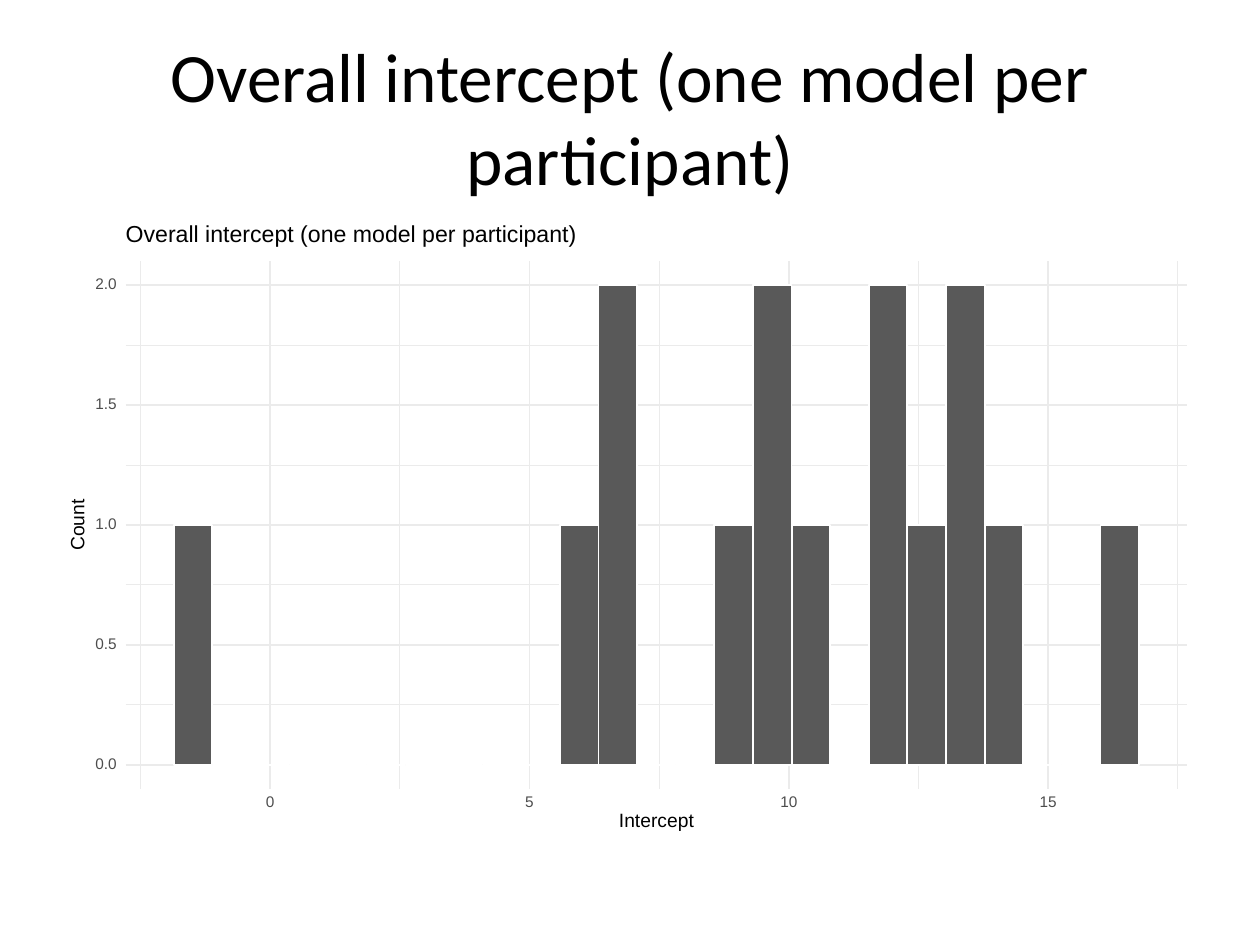
from dataclasses import dataclass

from lxml.etree import SubElement
from pptx import Presentation
from pptx.dml.color import RGBColor
from pptx.enum.shapes import MSO_CONNECTOR, MSO_SHAPE
from pptx.enum.text import MSO_ANCHOR, PP_ALIGN
from pptx.oxml.ns import qn
from pptx.util import Pt


@dataclass(frozen=True)
class Theme:
    black = RGBColor(0x00, 0x00, 0x00)
    white = RGBColor(0xFF, 0xFF, 0xFF)
    tick_grey = RGBColor(0x4D, 0x4D, 0x4D)
    bar_grey = RGBColor(0x59, 0x59, 0x59)
    grid_grey = RGBColor(0xEB, 0xEB, 0xEB)
    title_font = "Calibri"
    chart_font = "Arial"
    title_size = 39.6
    chart_title_size = 13.2
    axis_title_size = 11
    tick_size = 8.8
    minor_line = 0.53
    major_line = 1.07
    frame_line = 0.75


@dataclass(frozen=True)
class Box:
    left: float
    top: float
    width: float
    height: float

    @property
    def right(self):
        return self.left + self.width

    @property
    def bottom(self):
        return self.top + self.height

    @property
    def lengths(self):
        return Pt(self.left), Pt(self.top), Pt(self.width), Pt(self.height)


THEME = Theme()
TITLE = "Overall intercept (one model per participant)"
BIN_COUNTS = [1, 0, 0, 0, 0, 0, 0, 0, 0, 0, 1, 2, 0,
              0, 1, 2, 1, 0, 2, 1, 2, 1, 0, 0, 1]
AXIS_MARGIN = 0.05  # blank share added at each end of the data range


def add_text(shapes, box, text, font_name, size, color):
    text_box = shapes.add_textbox(*box.lengths)
    frame = text_box.text_frame
    frame.vertical_anchor = MSO_ANCHOR.MIDDLE
    paragraph = frame.paragraphs[0]
    paragraph.text = text
    paragraph.font.name = font_name
    paragraph.font.size = Pt(size)
    paragraph.font.color.rgb = color
    return text_box


def add_slide_title(slide, box):
    title = add_text(slide.shapes, box, TITLE, THEME.title_font, THEME.title_size, THEME.black)
    title.text_frame.word_wrap = True
    title.text_frame.paragraphs[0].alignment = PP_ALIGN.CENTER


def add_chart_label(shapes, box, text, size, color=THEME.black):
    """Add one unwrapped line of chart text without insets."""
    label = add_text(shapes, box, text, THEME.chart_font, size, color)
    frame = label.text_frame
    frame.word_wrap = False
    frame.margin_left = frame.margin_top = frame.margin_right = frame.margin_bottom = 0
    frame.paragraphs[0].line_spacing = Pt(size)
    return label


def add_centred_label(shapes, center_x, center_y, width, text, size, color=THEME.black):
    box = Box(center_x - width / 2, center_y - size / 2, width, size)
    label = add_chart_label(shapes, box, text, size, color)
    label.text_frame.paragraphs[0].alignment = PP_ALIGN.CENTER
    return label


def add_rectangle(shapes, box, fill, line_width):
    rectangle = shapes.add_shape(MSO_SHAPE.RECTANGLE, *box.lengths)
    rectangle.shadow.inherit = False
    rectangle.fill.solid()
    rectangle.fill.fore_color.rgb = fill
    rectangle.line.color.rgb = THEME.white
    rectangle.line.width = Pt(line_width)


def add_grid_line(shapes, start, end, line_width):
    line = shapes.add_connector(MSO_CONNECTOR.STRAIGHT, *map(Pt, start + end))
    line.line.color.rgb = THEME.grid_grey
    line.line.width = Pt(line_width)
    SubElement(line._element.spPr, qn("a:effectLst"))


def add_grid(shapes, panel, columns, rows, line_width):
    for y in rows:
        add_grid_line(shapes, (panel.left, y), (panel.right, y), line_width)
    for x in columns:
        add_grid_line(shapes, (x, panel.bottom), (x, panel.top), line_width)


def add_bars(shapes, panel, unit_height, baseline):
    bin_width = panel.width / (1 + 2 * AXIS_MARGIN) / len(BIN_COUNTS)
    first_left = panel.left + (panel.width - bin_width * len(BIN_COUNTS)) / 2
    for index, count in enumerate(BIN_COUNTS):
        height = count * unit_height
        bar = Box(first_left + index * bin_width, baseline - height, bin_width, height)
        add_rectangle(shapes, bar, THEME.bar_grey, THEME.major_line)


def add_histogram(slide, box):
    shapes = slide.shapes.add_group_shape().shapes
    panel = Box(box.left + 35.8, box.top + 23.3, 606.7, 301.4)
    unit_height = panel.height / (1 + 2 * AXIS_MARGIN) / max(BIN_COUNTS)
    baseline = panel.bottom - AXIS_MARGIN * max(BIN_COUNTS) * unit_height
    zero_x, unit_width = panel.left + 82.6, 29.64

    def x_at(value):
        return zero_x + value * unit_width

    def y_at(value):
        return baseline - value * unit_height

    x_ticks = [0, 5, 10, 15]
    y_ticks = [0, 0.5, 1, 1.5, 2]
    minor_columns = [x_at(value) for value in (-2.5, 2.5, 7.5, 12.5, 17.5)]
    minor_rows = [y_at(value + 0.25) for value in y_ticks[:-1]]

    add_rectangle(shapes, box, THEME.white, THEME.frame_line)
    add_grid(shapes, panel, minor_columns, minor_rows, THEME.minor_line)
    add_grid(shapes, panel, map(x_at, x_ticks), map(y_at, y_ticks), THEME.major_line)
    add_bars(shapes, panel, unit_height, baseline)

    for value in y_ticks:
        add_centred_label(shapes, panel.left - 11.2, y_at(value), 14, f"{value:.1f}",
                          THEME.tick_size, THEME.tick_grey)
    for value in x_ticks:
        text = str(value)
        add_centred_label(shapes, x_at(value), panel.bottom + 8.2, 6 * len(text), text,
                          THEME.tick_size, THEME.tick_grey)

    add_centred_label(shapes, panel.left + panel.width / 2, panel.bottom + 19, 48,
                      "Intercept", THEME.axis_title_size)
    count_label = add_centred_label(shapes, box.left + 9, panel.top + panel.height / 2, 34,
                                    "Count", THEME.axis_title_size)
    count_label.rotation = 270
    add_chart_label(shapes, Box(panel.left, box.top + 2.2, 262, 12.6), TITLE,
                    THEME.chart_title_size)


def main():
    presentation = Presentation()
    presentation.slide_width, presentation.slide_height = Pt(720), Pt(540)
    slide = presentation.slides.add_slide(presentation.slide_layouts[6])
    add_slide_title(slide, Box(36, 21.6, 648, 90))
    add_histogram(slide, Box(36, 126, 648, 356.4))
    presentation.save("out.pptx")


if __name__ == "__main__":
    main()
